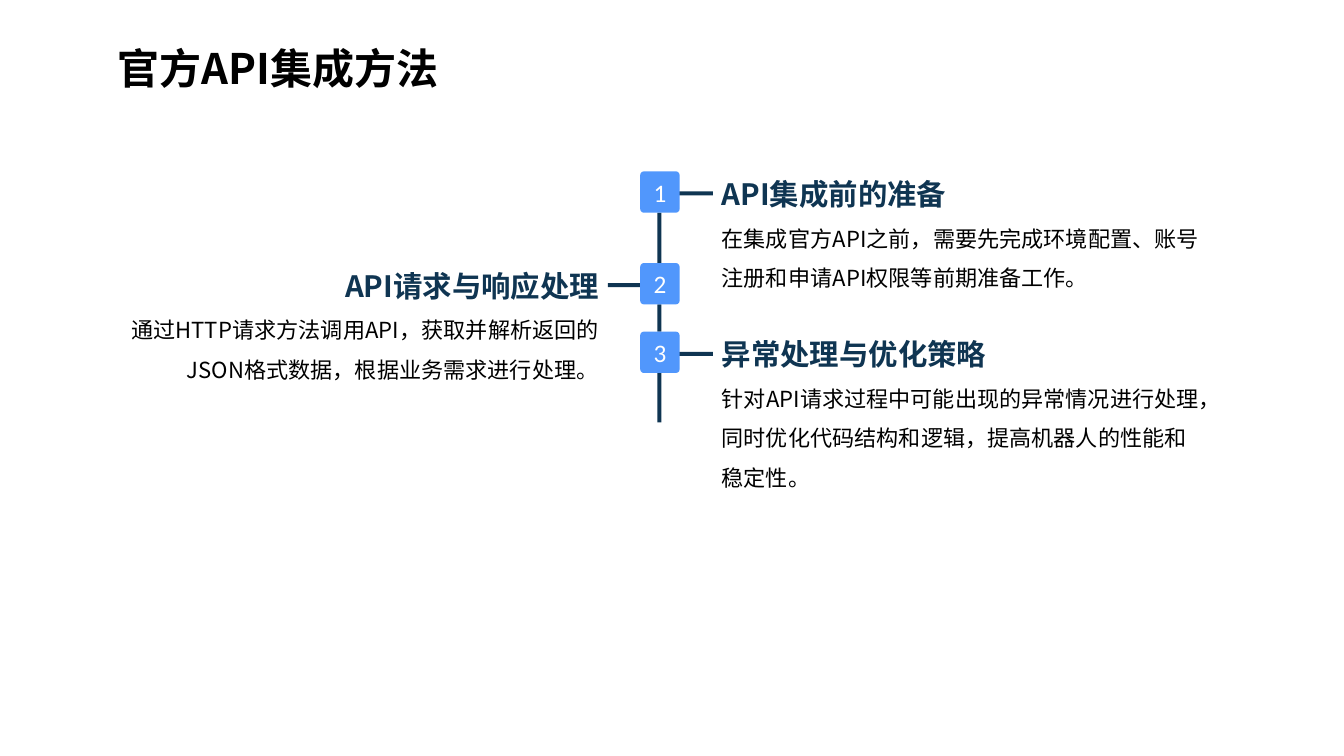
from lxml import etree
from pptx import Presentation
from pptx.dml.color import RGBColor
from pptx.enum.shapes import MSO_SHAPE as Shape
from pptx.enum.text import MSO_ANCHOR as Anchor, MSO_AUTO_SIZE as AutoSize, PP_ALIGN as Align
from pptx.oxml.ns import qn
from pptx.util import Inches, Pt

COLORS = {"navy": "0F3552", "blue": "5197FC", "black": "000000", "white": "FFFFFF"}
CJK_FONT = "Noto Sans CJK SC"
BADGE_LEFT, BADGE_WIDTH, BADGE_HEIGHT = 6.35, 0.39, 0.41
BAR, ARM = 0.04, 0.34
TEXT_WIDTH = 4.97

STEPS = [
    {"top": 1.7, "height": 1.24, "side": "right", "heading": "API集成前的准备",
     "body": "在集成官方API之前，需要先完成环境配置、账号注册和申请API权限等前期准备工作。"},
    {"top": 2.61, "height": 1.24, "side": "left", "heading": "API请求与响应处理",
     "body": "通过HTTP请求方法调用API，获取并解析返回的JSON格式数据，根据业务需求进行处理。"},
    {"top": 3.29, "height": 1.63, "side": "right", "heading": "异常处理与优化策略",
     "body": "针对API请求过程中可能出现的异常情况进行处理，同时优化代码结构和逻辑，提高机器人的性能和稳定性。"},
]
SIDES = {
    "left": {"text": 1.07, "arm": 6.03, "align": Align.RIGHT},
    "right": {"text": 7.06, "arm": 6.73, "align": Align.LEFT},
}

presentation = Presentation()
presentation.slide_width, presentation.slide_height = Inches(13.33), Inches(7.5)
slide = presentation.slides.add_slide(presentation.slide_layouts[6])


def add_text(left, top, width, height, lines, align=Align.LEFT):
    """Add a text box; each line is (text, size, color, bold, line spacing)."""
    box = slide.shapes.add_textbox(*map(Inches, (left, top, width, height)))
    frame = box.text_frame
    frame.word_wrap = True
    frame.vertical_anchor = Anchor.MIDDLE
    frame.auto_size = AutoSize.SHAPE_TO_FIT_TEXT
    for index, (text, size, color, bold, spacing) in enumerate(lines):
        paragraph = frame.add_paragraph() if index else frame.paragraphs[0]
        paragraph.alignment = align
        paragraph.line_spacing = spacing
        run = paragraph.add_run()
        run.text = text
        run.font.color.rgb = RGBColor.from_string(COLORS[color])
        for name, value in {"size": Pt(size), "bold": bold, "name": CJK_FONT}.items():
            setattr(run.font, name, value)
        east_asian = etree.SubElement(run.font._element, qn("a:ea"))
        east_asian.set("typeface", CJK_FONT)


def add_block(kind, left, top, width, height, color):
    shape = slide.shapes.add_shape(kind, *map(Inches, (left, top, width, height)))
    shape.shadow.inherit = False
    shape.fill.solid()
    shape.fill.fore_color.rgb = RGBColor.from_string(COLORS[color])
    shape.line.fill.background()
    return shape


add_text(1.07, 0.12, 10.25, 0.85, [("官方API集成方法", 30, "black", True, 1.5)])

# Each spine segment runs from its badge to the next; the last one hangs free
next_tops = [step["top"] for step in STEPS[1:]] + [4.19]
for number, (step, next_top) in enumerate(zip(STEPS, next_tops), 1):
    top, side = step["top"], SIDES[step["side"]]
    add_text(side["text"], top, TEXT_WIDTH, step["height"],
             [(step["heading"], 21, "navy", True, None),
              (step["body"], 15.8, "black", False, 1.5)], side["align"])

    badge_bottom = top + BADGE_HEIGHT
    add_block(Shape.RECTANGLE, 6.52, badge_bottom, BAR, next_top - badge_bottom, "navy")
    add_block(Shape.RECTANGLE, side["arm"], top + 0.2, ARM, BAR, "navy")

    badge = add_block(Shape.ROUNDED_RECTANGLE, BADGE_LEFT, top, BADGE_WIDTH, BADGE_HEIGHT, "blue")
    badge.adjustments[0] = 0.09
    frame = badge.text_frame
    for margin in ("margin_left", "margin_right", "margin_top", "margin_bottom"):
        setattr(frame, margin, 0)
    frame.vertical_anchor = Anchor.MIDDLE
    paragraph = frame.paragraphs[0]
    paragraph.alignment = Align.CENTER
    run = paragraph.add_run()
    run.text = str(number)
    run.font.size, run.font.name = Pt(18), "Calibri"
    run.font.color.rgb = RGBColor.from_string(COLORS["white"])

presentation.save("out.pptx")
